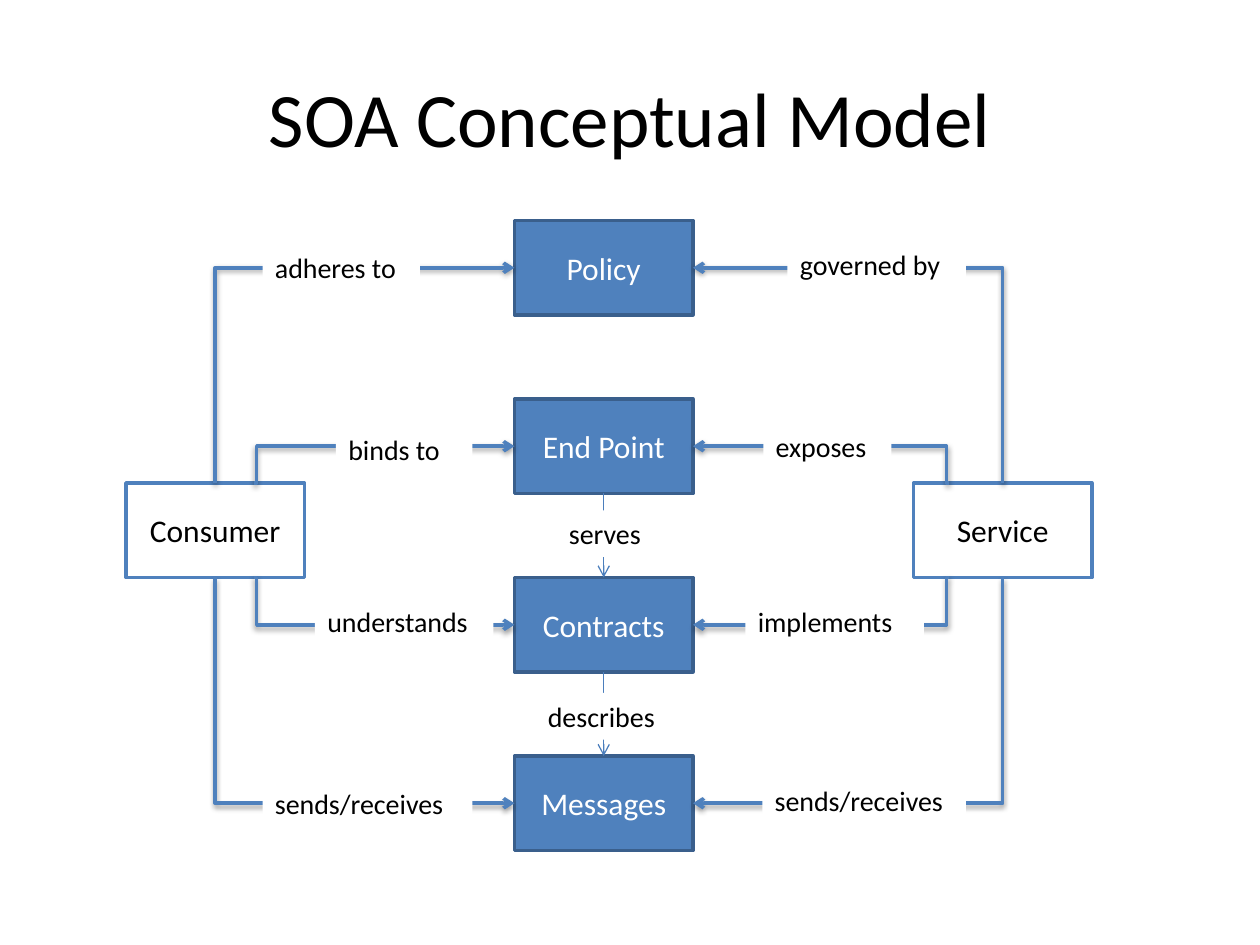
import dataclasses

import lxml.etree
import pptx
import pptx.dml.color
import pptx.enum.shapes
import pptx.enum.text
import pptx.oxml.ns
import pptx.util

COLUMNS, ROWS = 120, 90  # grid of twelfths of an inch
CELL = pptx.util.Inches(1) / 12
BLOCK_WIDTH, BLOCK_HEIGHT, LABEL_HEIGHT = 17, 9, 4.44
TOP, LEFT, BOTTOM, RIGHT = range(4)  # connection sites of a rectangle


@dataclasses.dataclass(frozen=True)
class Theme:
    font: str = "Calibri"
    title_size: int = 44
    block_size: int = 18
    label_size: int = 16
    ink: str = "000000"
    paper: str = "FFFFFF"
    accent: str = "4F81BD"
    border: str = "3A5F8C"
    thin_line: str = "4B7EBC"
    thick: float = 2
    thin: float = 0.75


THEME = Theme()

# Per side: label, column, row and width for each target, from top to bottom
CONSUMER_LABELS = [
    ("adheres to", 25, 23.3, 15),
    ("binds to", 32, 40.6, 13),
    ("understands", 30, 57, 17),
    ("sends/receives", 25, 74.3, 20),
]
SERVICE_LABELS = [
    ("governed by", 75, 23, 17),
    ("exposes", 72.7, 40.3, 12.2),
    ("implements", 71, 57, 17),
    ("sends/receives", 72.6, 74, 19.4),
]
CORE_LABELS = [("serves", 53, 48.6, 10), ("describes", 51, 66, 13)]


def cells(*counts):
    return [pptx.util.Emu(round(count * CELL)) for count in counts]


def rgb(value):
    return pptx.dml.color.RGBColor.from_string(value)


def add_xml(parent, tag, **attributes):
    child = lxml.etree.SubElement(parent, pptx.oxml.ns.qn(tag))
    for name, value in attributes.items():
        child.set(name, str(value))
    return child


def write(shape, text, size, color, align):
    frame = shape.text_frame
    frame.word_wrap = True
    para = frame.paragraphs[0]
    para.text = text
    para.alignment = align
    para.font.name = THEME.font
    para.font.size = pptx.util.Pt(size)
    para.font.color.rgb = rgb(color)
    return frame


def add_title(page, text, area):
    frame = write(page.shapes.add_textbox(*cells(*area)), text,
                  THEME.title_size, THEME.ink, pptx.enum.text.PP_ALIGN.CENTER)
    frame.vertical_anchor = pptx.enum.text.MSO_ANCHOR.MIDDLE


def add_block(page, text, column, row, fill, border, ink):
    block = page.shapes.add_shape(
        pptx.enum.shapes.MSO_SHAPE.RECTANGLE,
        *cells(column, row, BLOCK_WIDTH, BLOCK_HEIGHT))
    block.shadow.inherit = False
    block.fill.solid()
    block.fill.fore_color.rgb = rgb(fill)
    block.line.color.rgb = rgb(border)
    block.line.width = pptx.util.Pt(THEME.thick)
    frame = write(block, text, THEME.block_size, ink,
                  pptx.enum.text.PP_ALIGN.CENTER)
    frame.vertical_anchor = pptx.enum.text.MSO_ANCHOR.MIDDLE
    return block


def add_labels(page, labels):
    for text, column, row, width in labels:
        label = page.shapes.add_textbox(
            *cells(column, row, width, LABEL_HEIGHT))
        label.fill.solid()
        label.fill.fore_color.rgb = rgb(THEME.paper)
        write(label, text, THEME.label_size, THEME.ink,
              pptx.enum.text.PP_ALIGN.LEFT)


def style_arrow(arrow, color, width, arrow_end, shadow):
    arrow.line.color.rgb = rgb(color)
    arrow.line.width = pptx.util.Pt(width)
    add_xml(arrow.line._get_or_add_ln(), arrow_end, type="arrow")
    effects = add_xml(arrow._element.spPr, "a:effectLst")
    if shadow:
        outer = add_xml(effects, "a:outerShdw", blurRad=pptx.util.Pt(3.1),
                        dist=pptx.util.Pt(1.6), dir=90 * 60000, rotWithShape=0)
        black = add_xml(outer, "a:srgbClr", val="000000")
        add_xml(black, "a:alpha", val=38000)


def add_down_arrow(page, upper, lower):
    arrow = page.shapes.add_connector(
        pptx.enum.shapes.MSO_CONNECTOR.STRAIGHT, 0, 0, 0, 0)
    arrow.begin_connect(upper, BOTTOM)
    arrow.end_connect(lower, TOP)
    style_arrow(arrow, THEME.thin_line, THEME.thin, "a:tailEnd", False)


def add_outer_arrow(page, party, party_site, target, target_site):
    """Draw one bend, starting at the arrowhead so that no rotation is needed."""
    arrow = page.shapes.add_connector(
        pptx.enum.shapes.MSO_CONNECTOR.ELBOW, 0, 0, 0, 0)
    arrow.begin_connect(target, target_site)
    arrow.end_connect(party, party_site)
    arrow._element.spPr.prstGeom.set("prst", "bentConnector2")
    style_arrow(arrow, THEME.accent, THEME.thick, "a:headEnd", True)


def add_inner_arrow(page, column, edge, target, target_site):
    """Leave a party's edge at the given column and bend at once."""
    start, = cells(column)
    arrow = page.shapes.add_connector(
        pptx.enum.shapes.MSO_CONNECTOR.ELBOW, start, edge, start, edge)
    arrow.end_connect(target, target_site)
    geometry = arrow._element.spPr.prstGeom
    guides = geometry.find(pptx.oxml.ns.qn("a:avLst"))
    if guides is None:
        guides = add_xml(geometry, "a:avLst")
    add_xml(guides, "a:gd", name="adj1", fmla="val 1000")
    style_arrow(arrow, THEME.accent, THEME.thick, "a:tailEnd", True)


def add_core(page, names, column, row):
    """Stack the blocks with one pitch and return them from top to bottom."""
    pitch = 17
    blocks = [
        add_block(page, name, column, row + index * pitch,
                  THEME.accent, THEME.border, THEME.paper)
        for index, name in enumerate(names)
    ]
    for upper, lower in zip(blocks[1:], blocks[2:]):
        add_down_arrow(page, upper, lower)
    add_labels(page, CORE_LABELS)
    return blocks


def add_party(page, name, column, row, inner_column, targets, side, labels):
    """Place a party and its arrows to the given side of the four targets."""
    party = add_block(page, name, column, row,
                      THEME.paper, THEME.accent, THEME.ink)
    policy, end_point, contracts, messages = targets
    add_outer_arrow(page, party, TOP, policy, side)
    add_inner_arrow(page, inner_column, party.top, end_point, side)
    add_inner_arrow(page, inner_column, party.top + party.height,
                    contracts, side)
    add_outer_arrow(page, party, BOTTOM, messages, side)
    add_labels(page, labels)


def main():
    deck = pptx.Presentation()
    deck.slide_width, deck.slide_height = cells(COLUMNS, ROWS)
    page = deck.slides.add_slide(deck.slide_layouts[6])
    add_title(page, "SOA Conceptual Model", (6, 3.6, COLUMNS - 12, 15))
    targets = add_core(
        page, ["Policy", "End Point", "Contracts", "Messages"], 49, 21)
    add_party(page, "Service", 87, 46, 90.4, targets, RIGHT, SERVICE_LABELS)
    add_party(page, "Consumer", 12, 46, 24.2, targets, LEFT, CONSUMER_LABELS)
    deck.save("out.pptx")


if __name__ == "__main__":
    main()
